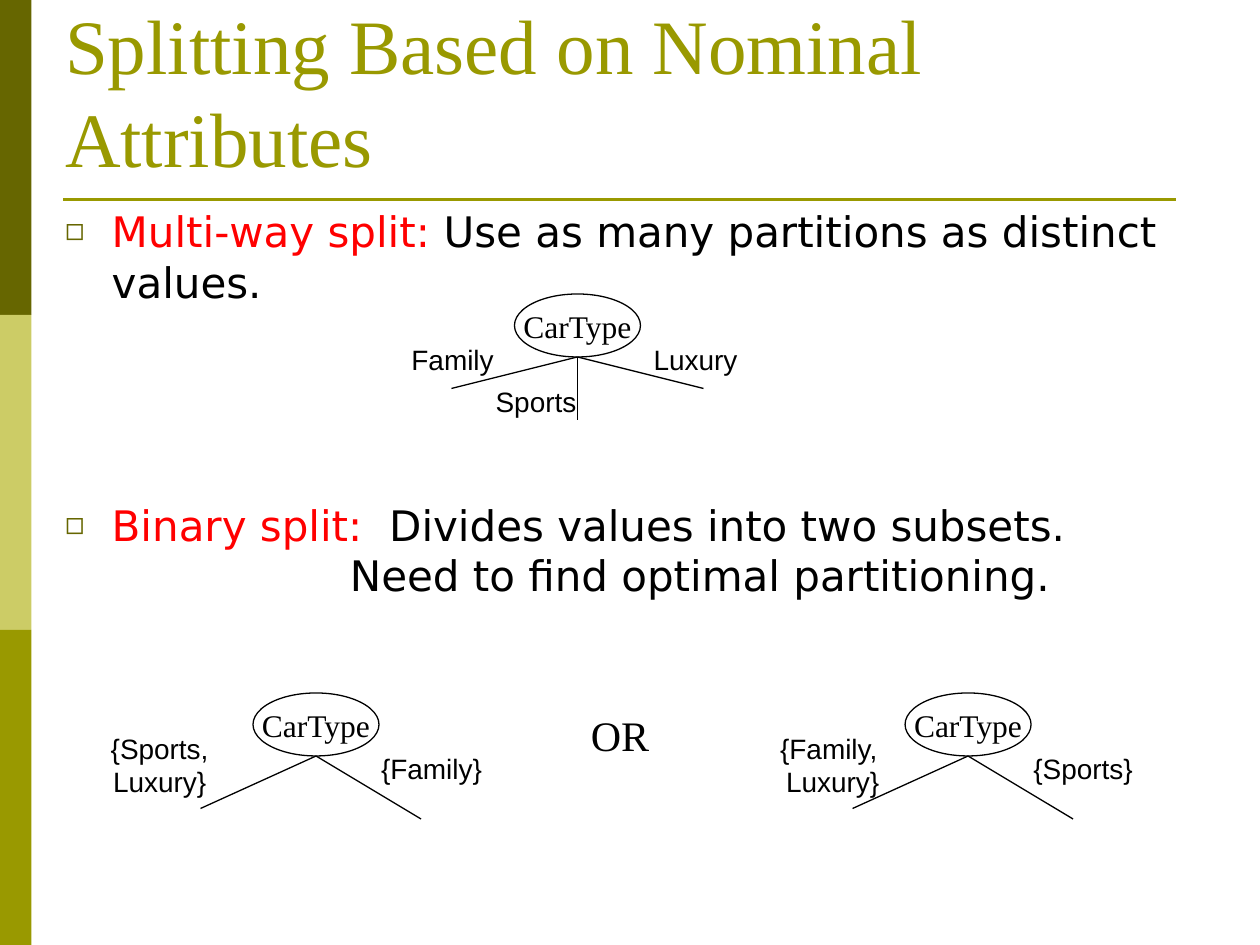
from lxml.etree import SubElement
from pptx import Presentation
from pptx.dml.color import RGBColor
from pptx.enum.shapes import MSO_CONNECTOR, MSO_SHAPE
from pptx.enum.text import MSO_ANCHOR, MSO_AUTO_SIZE, PP_ALIGN
from pptx.oxml.ns import qn
from pptx.util import Inches, Pt

COLORS = {name: RGBColor.from_string(value) for name, value in {
    "dark": "666600", "light": "CCCC66", "olive": "999900",
    "red": "FF0000", "black": "000000", "white": "FFFFFF"}.items()}

presentation = Presentation()
presentation.slide_width, presentation.slide_height = Inches(10), Inches(7.5)
slide = presentation.slides.add_slide(presentation.slide_layouts[1])
UNIT = presentation.slide_width / 120  # square grid: 120 columns, 90 rows


def grid(*cells):
    return [round(cell * UNIT) for cell in cells]


def set_label(shape, text, font_name, size):
    frame = shape.text_frame
    frame.text = text
    frame.word_wrap = False
    frame.margin_left = frame.margin_right = 0  # room for the text on one line
    frame.vertical_anchor = MSO_ANCHOR.MIDDLE
    paragraph = frame.paragraphs[0]
    paragraph.alignment = PP_ALIGN.CENTER
    for run in paragraph.runs:
        run.font.name, run.font.size = font_name, Pt(size)
        run.font.color.rgb = COLORS["black"]


# Side bars
for index, color in enumerate(("dark", "light", "olive")):
    bar = slide.shapes.add_shape(MSO_SHAPE.RECTANGLE, *grid(0, 30 * index, 3, 30))
    bar.shadow.inherit = False
    bar.fill.solid()
    bar.fill.fore_color.rgb = COLORS[color]
    bar.line.fill.background()

# Title and body placeholders
title, body = slide.shapes.title, slide.placeholders[1]
for placeholder, cells, anchor in ((title, (5, 11, 113, 7), MSO_ANCHOR.BOTTOM),
                                   (body, (5, 19, 110, 49), MSO_ANCHOR.TOP)):
    placeholder.left, placeholder.top, placeholder.width, placeholder.height = grid(*cells)
    placeholder.text_frame.auto_size = MSO_AUTO_SIZE.NONE
    placeholder.text_frame.vertical_anchor = anchor

title.text_frame.text = "Splitting Based on Nominal Attributes"
paragraph = title.text_frame.paragraphs[0]
paragraph.alignment = PP_ALIGN.LEFT
title_font = paragraph.runs[0].font
title_font.name, title_font.size = "Times New Roman", Pt(44)
title_font.color.rgb = COLORS["olive"]

# Bullets: red term, black explanation, space above
bullets = [
    ("Multi-way split:", " Use as many partitions as distinct values.", 6),
    ("Binary split:", "  Divides values into two subsets. \v\tNeed to find optimal partitioning.", 110),
]
body.text_frame.text = "\n".join(term for term, rest, space in bullets)
for paragraph, (term, rest, space) in zip(body.text_frame.paragraphs, bullets):
    term_run = paragraph.runs[0]
    first_line, *more_lines = rest.split("\v")
    paragraph.add_run().text = first_line
    for line in more_lines:
        paragraph.add_line_break()
        paragraph.add_run().text = line
    for run in paragraph.runs:
        run.font.name, run.font.size = "DejaVu Sans", Pt(24)
        run.font.color.rgb = COLORS["black"]
    term_run.font.color.rgb = COLORS["red"]
    paragraph.space_before = Pt(space)
    properties = paragraph._p.get_or_add_pPr()
    properties.set("marL", str(Inches(0.37)))
    properties.set("indent", str(-Inches(0.37)))
    bullet_color = SubElement(properties, qn("a:buClr"))
    SubElement(bullet_color, qn("a:srgbClr"), val=str(COLORS["dark"]))
    SubElement(properties, qn("a:buSzPct"), val="75000")
    SubElement(properties, qn("a:buChar"), char="◻")
    tabs = SubElement(properties, qn("a:tabLst"))
    SubElement(tabs, qn("a:tab"), pos=str(Inches(2.26)), algn="l")

# Split trees: apex, branch offsets from it, labels with their boxes
BINARY = [(-11, 5), (10, 6)]
trees = [
    (55, 34, [(-12, 3), (0, 6), (12, 3)],
     [("Family", 38, 32, 10.2, 4.4), ("Sports", 46, 36, 10.1, 4.4),
      ("Luxury", 61.1, 32, 10.3, 4.4)]),
    (92.2, 72, BINARY,
     [("{Family, \vLuxury}", 73, 69, 12.6, 7.7), ("{Sports}", 97.2, 71, 11.9, 4.4)]),
    (30.1, 72, BINARY,
     [("{Sports,\vLuxury}", 9, 69, 12.4, 7.7), ("{Family}", 35.1, 71, 12, 4.4)]),
]
connectors = []
for apex_x, apex_y, branches, labels in trees:
    group = slide.shapes.add_group_shape()
    node = group.shapes.add_shape(MSO_SHAPE.OVAL, *grid(apex_x - 6, apex_y - 6, 12, 6))
    node.shadow.inherit = False
    node.fill.solid()
    node.fill.fore_color.rgb = COLORS["white"]
    node.line.color.rgb = COLORS["black"]
    node.line.width = Pt(0.75)
    set_label(node, "CarType", "Times New Roman", 18)
    for dx, dy in branches:
        branch = group.shapes.add_connector(
            MSO_CONNECTOR.STRAIGHT, *grid(apex_x, apex_y, apex_x + dx, apex_y + dy))
        connectors.append((branch, "black", 0.75))
    for text, *box in labels:
        set_label(group.shapes.add_textbox(*grid(*box)), text, "Arial", 16)

set_label(slide.shapes.add_textbox(*grid(55.1, 67, 7.9, 6)), "OR", "Times New Roman", 24)

# Rule under the title, then the style of every line
rule = slide.shapes.add_connector(MSO_CONNECTOR.STRAIGHT, *grid(6, 19, 112, 19))
connectors.append((rule, "olive", 1.5))
for connector, color, width in connectors:
    connector.line.color.rgb = COLORS[color]
    connector.line.width = Pt(width)
    SubElement(connector._element.spPr, qn("a:effectLst"))

presentation.save("out.pptx")
